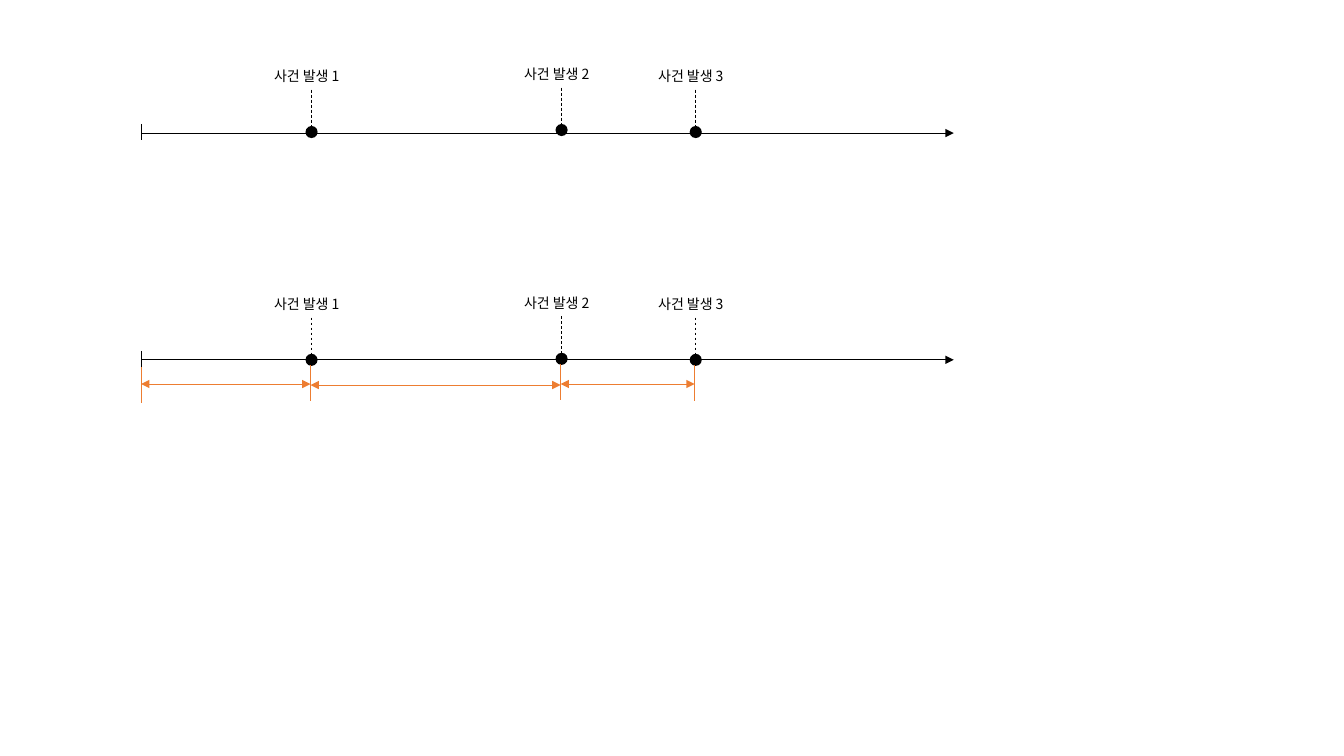
"""Two event timelines, the second with the intervals between events marked."""
from lxml.etree import SubElement
from pptx import Presentation
from pptx.dml.color import RGBColor
from pptx.enum.dml import MSO_LINE
from pptx.enum.shapes import MSO_CONNECTOR, MSO_SHAPE
from pptx.enum.text import MSO_AUTO_SIZE
from pptx.oxml.ns import qn
from pptx.util import Inches, Pt

COLORS = {"ink": "000000", "interval": "ED7D31"}
FONT_NAME = "Noto Sans CJK KR"
COLUMNS, ROWS = 1333, 750
AXIS_START, AXIS_END = 140, 946
EVENT_COLUMNS = [309, 557, 690]
TIMELINES = [
    {"axis": 132, "events": [131, 129, 131]},
    {"axis": 357, "events": [357, 356, 357]},
]
DOT_RADIUS = 6
INTERVAL_ROWS = [381, 382, 381]

presentation = Presentation()
presentation.slide_width = Inches(13.33)
presentation.slide_height = Inches(7.5)
slide = presentation.slides.add_slide(presentation.slide_layouts[6])
column = presentation.slide_width / COLUMNS
row = presentation.slide_height / ROWS


def place(left, top, width, height):
    return [round(left * column), round(top * row), round(width * column), round(height * row)]


def add_line(start, end, color="ink", width=0.5, dash=None, arrows=()):
    connector = slide.shapes.add_connector(MSO_CONNECTOR.STRAIGHT, *place(*start, *end))
    connector.line.color.rgb = RGBColor.from_string(COLORS[color])
    line_format = {"width": Pt(width), "dash_style": dash}
    for name, value in line_format.items():
        setattr(connector.line, name, value)
    for arrow in arrows:
        SubElement(connector.line._get_or_add_ln(), qn(f"a:{arrow}"), type="triangle")
    SubElement(connector._element.spPr, qn("a:effectLst"))


for timeline in TIMELINES:
    axis = timeline["axis"]
    add_line((AXIS_START, axis), (AXIS_END, axis), arrows=["tailEnd"])
    add_line((AXIS_START, axis - 9), (AXIS_START, axis + 7), width=0.75)

    for number, (x, y) in enumerate(zip(EVENT_COLUMNS, timeline["events"]), 1):
        label = slide.shapes.add_textbox(*place(x - 47, y - 69, 94, 27))
        frame_format = {"word_wrap": False, "auto_size": MSO_AUTO_SIZE.SHAPE_TO_FIT_TEXT}
        for name, value in frame_format.items():
            setattr(label.text_frame, name, value)
        run = label.text_frame.paragraphs[0].add_run()
        run.text = f"사건 발생 {number}"
        run.font.color.rgb = RGBColor.from_string(COLORS["ink"])
        for name, value in {"name": FONT_NAME, "size": Pt(10)}.items():
            setattr(run.font, name, value)
        SubElement(run.font._element, qn("a:ea"), typeface=FONT_NAME)

        dot = slide.shapes.add_shape(
            MSO_SHAPE.OVAL, *place(x - DOT_RADIUS, y - DOT_RADIUS, 2 * DOT_RADIUS, 2 * DOT_RADIUS)
        )
        dot.shadow.inherit = False
        dot.fill.solid()
        dot.fill.fore_color.rgb = RGBColor.from_string(COLORS["ink"])
        dot.line.fill.background()
        add_line((x, y - 42), (x, y - DOT_RADIUS), dash=MSO_LINE.DASH)

boundaries = [AXIS_START] + [x - 1 for x in EVENT_COLUMNS]
boundary_tops = [364] + [y + 5 for y in TIMELINES[1]["events"]]
for x, top in zip(boundaries, boundary_tops):
    add_line((x, top), (x, top + 36), "interval")

for start, end, y in zip(boundaries, boundaries[1:], INTERVAL_ROWS):
    add_line((start, y), (end, y), "interval", arrows=["headEnd", "tailEnd"])

presentation.save("out.pptx")
